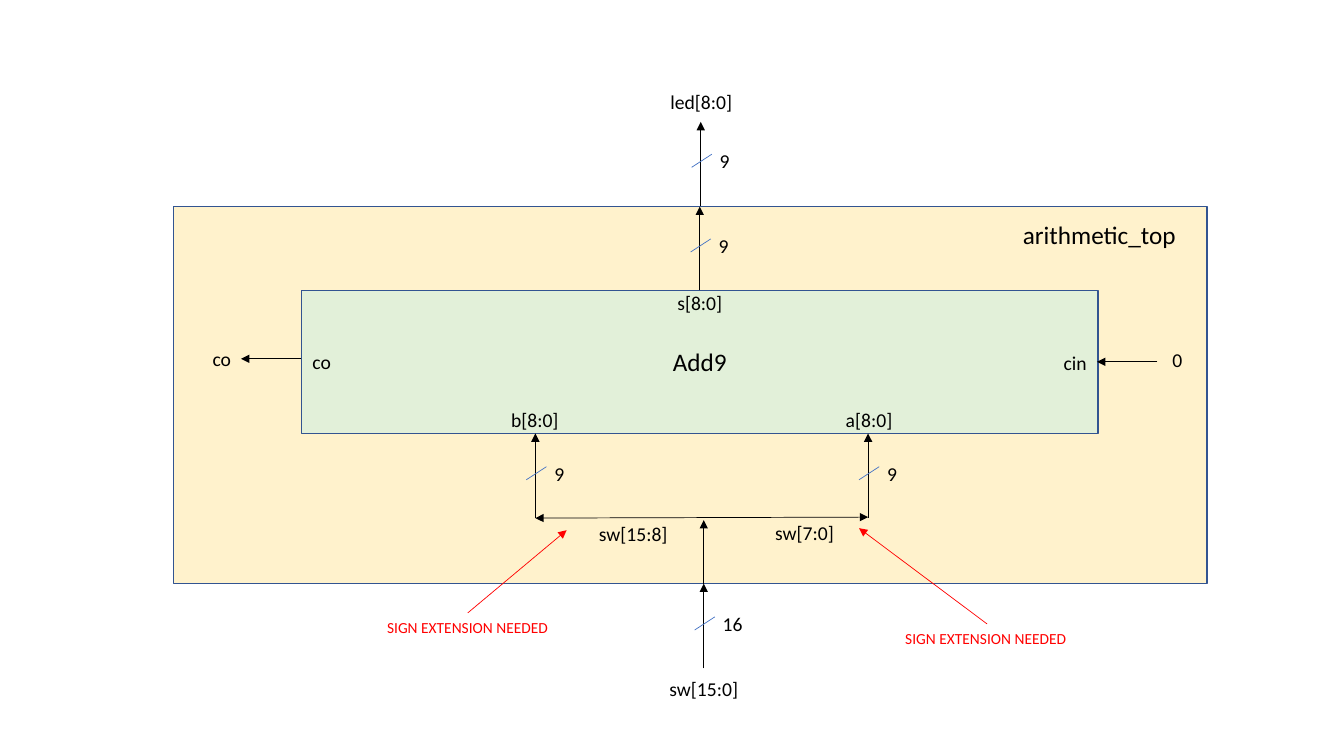
from typing import NamedTuple

from lxml import etree
from pptx import Presentation
from pptx.dml.color import RGBColor
from pptx.enum.shapes import MSO_CONNECTOR, MSO_SHAPE
from pptx.enum.text import MSO_ANCHOR, MSO_AUTO_SIZE, PP_ALIGN
from pptx.oxml.ns import qn
from pptx.util import Emu, Pt

STRAIGHT = MSO_CONNECTOR.STRAIGHT
RECT = MSO_SHAPE.RECTANGLE
MIDDLE = MSO_ANCHOR.MIDDLE
FIT_SHAPE = MSO_AUTO_SIZE.SHAPE_TO_FIT_TEXT
LEFT, CENTER, RIGHT = PP_ALIGN.LEFT, PP_ALIGN.CENTER, PP_ALIGN.RIGHT

EMU_PER_PX = 9144  # 100 px to the inch
FONT = "Calibri"
BLACK, RED, BLUE, OUTLINE = "000000", "FF0000", "4472C4", "325491"
CREAM, GREEN = "FFF2CC", "E2F0D9"
LABEL_HEIGHT = {11: 29, 14: 34, 18: 40}


class Block(NamedTuple):
    left: int
    top: int
    width: int
    height: int
    fill: str
    name: str = ""


class Label(NamedTuple):
    text: str
    left: int
    top: int
    width: int
    size: int = 14
    color: str = BLACK
    align: PP_ALIGN = LEFT


class Wire(NamedTuple):
    x1: int
    y1: int
    x2: int
    y2: int
    color: str = BLACK
    head: bool = False
    tail: bool = True


class Bus(NamedTuple):
    """A vertical arrow with a slash and its width in bits."""
    x: int
    bottom: int
    top: int
    bits: str


BLOCKS = [
    Block(172, 205, 1025, 374, CREAM),
    Block(299, 288, 790, 142, GREEN, "Add9"),
]
BUSES = [
    Bus(694, 288, 205, "9"),
    Bus(861, 514, 430, "9"),
    Bus(531, 514, 430, "9"),
    Bus(698, 663, 579, "16"),
    Bus(695, 204, 121, "9"),
]
WIRES = [
    Wire(1148, 359, 1088, 359),
    Wire(299, 356, 239, 356),
    Wire(698, 579, 698, 516),
    Wire(531, 514, 861, 513, head=True),
    Wire(979, 619, 852, 524, RED),
    Wire(464, 608, 562, 526, RED),
]
LABELS = [
    Label("arithmetic_top", 1000, 213, 176, size=18, align=RIGHT),
    Label("led[8:0]", 655, 84, 82),
    Label("s[8:0]", 662, 284, 66),
    Label("b[8:0]", 497, 400, 68),
    Label("a[8:0]", 829, 400, 66),
    Label("cin", 1045, 343, 43),
    Label("0", 1153, 340, 30),
    Label("co", 300, 342, 39),
    Label("co", 200, 339, 39, align=RIGHT),
    Label("sw[15:8]", 583, 513, 89, align=RIGHT),
    Label("sw[7:0]", 758, 512, 79, align=RIGHT),
    Label("sw[15:0]", 653, 667, 89, align=RIGHT),
    Label("SIGN EXTENSION NEEDED", 374, 608, 181, size=11, color=RED),
    Label("SIGN EXTENSION NEEDED", 888, 619, 181, size=11, color=RED),
]


def px(n: int) -> Emu:
    return Emu(n * EMU_PER_PX)


def rgb(color: str) -> RGBColor:
    return RGBColor.from_string(color)


def set_text(tf, text: str, size: int, color: str, align: PP_ALIGN) -> None:
    p = tf.paragraphs[0]
    p.text = text
    p.alignment = align
    p.font.name = FONT
    p.font.size = Pt(size)
    p.font.color.rgb = rgb(color)


def add_block(s, block: Block) -> None:
    sp = s.shapes.add_shape(RECT, px(block.left), px(block.top),
                            px(block.width), px(block.height))
    sp.shadow.inherit = False
    sp.fill.solid()
    sp.fill.fore_color.rgb = rgb(block.fill)
    sp.line.color.rgb = rgb(OUTLINE)
    sp.line.width = Pt(1)
    if block.name:
        sp.text_frame.vertical_anchor = MIDDLE
        set_text(sp.text_frame, block.name, 18, BLACK, CENTER)


def add_label(s, label: Label) -> None:
    sp = s.shapes.add_textbox(px(label.left), px(label.top), px(label.width),
                              px(LABEL_HEIGHT[label.size]))
    tf = sp.text_frame
    tf.word_wrap = False
    tf.auto_size = FIT_SHAPE
    set_text(tf, label.text, label.size, label.color, label.align)


def add_wire(s, wire: Wire) -> None:
    sp = s.shapes.add_connector(STRAIGHT, px(wire.x1), px(wire.y1),
                                px(wire.x2), px(wire.y2))
    sp.line.color.rgb = rgb(wire.color)
    sp.line.width = Pt(0.5)
    ln = sp.line._get_or_add_ln()
    for tag, shown in (("a:headEnd", wire.head), ("a:tailEnd", wire.tail)):
        if shown:
            etree.SubElement(ln, qn(tag)).set("type", "triangle")
    etree.SubElement(sp._element.spPr, qn("a:effectLst"))


def add_bus(s, bus: Bus) -> None:
    x, y = bus.x, bus.bottom
    add_wire(s, Wire(x, y, x, bus.top))
    add_wire(s, Wire(x - 9, y - 38, x + 11, y - 51, BLUE, tail=False))
    add_label(s, Label(bus.bits, x + 9, y - 61, 20 + 10 * len(bus.bits)))


def main() -> None:
    prs = Presentation()
    prs.slide_width, prs.slide_height = px(1333), px(750)
    s = prs.slides.add_slide(prs.slide_layouts[6])
    for block in BLOCKS:
        add_block(s, block)
    for bus in BUSES:
        add_bus(s, bus)
    for wire in WIRES:
        add_wire(s, wire)
    for label in LABELS:
        add_label(s, label)
    prs.save("out.pptx")


if __name__ == "__main__":
    main()
